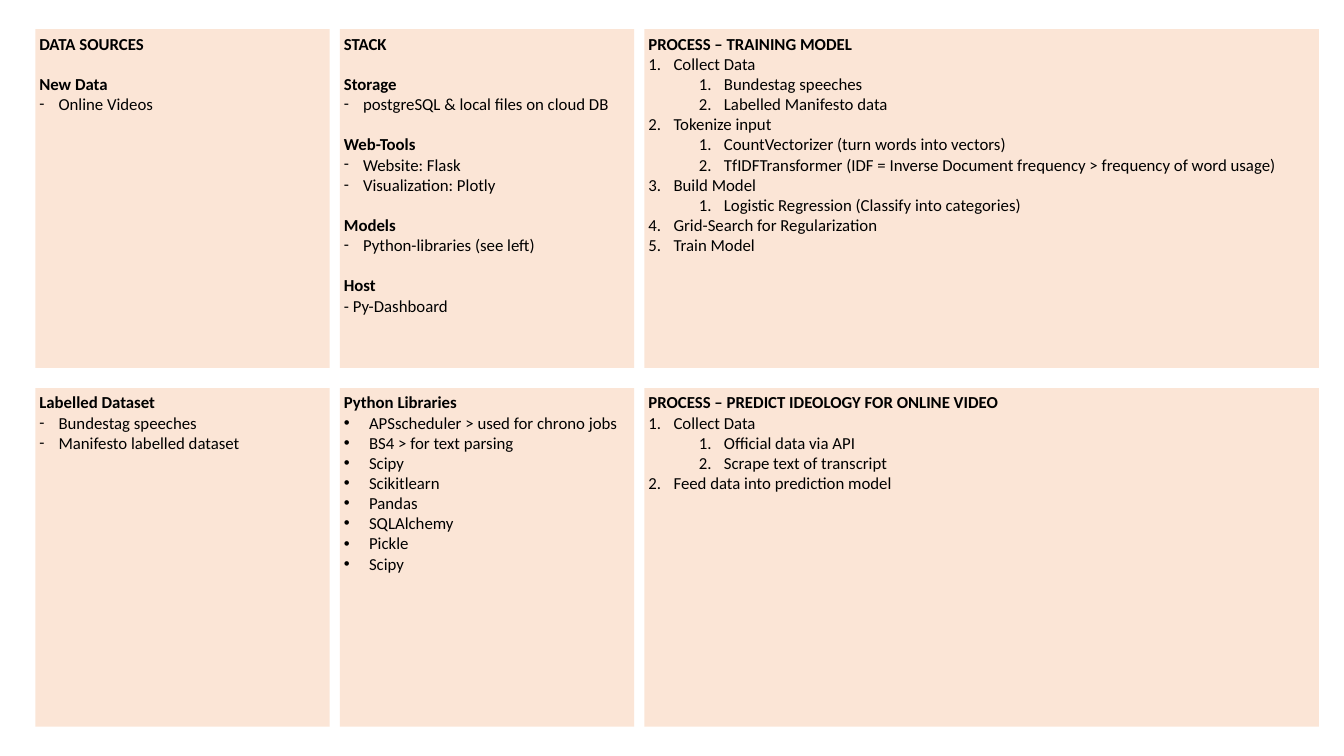
from pptx import Presentation
from pptx import util as u
from pptx.dml.color import RGBColor
from pptx.enum import shapes, text
from pptx.oxml.ns import qn
from lxml import etree

COLOURS = {"panel": "FBE5D6", "ink": "000000"}
FONT = "Calibri"

COLUMNS = [
    (2.92, [
        [("head", "DATA SOURCES"),
         ("section", "New Data"),
         ("dash", "Online Videos")],
        [("head", "Labelled Dataset"),
         ("dash", "Bundestag speeches"),
         ("dash", "Manifesto labelled dataset")],
    ]),
    (2.92, [
        [("head", "STACK"),
         ("section", "Storage"),
         ("dash", "postgreSQL & local files on cloud DB"),
         ("section", "Web-Tools"),
         ("dash", "Website: Flask"),
         ("dash", "Visualization: Plotly"),
         ("section", "Models"),
         ("dash", "Python-libraries (see left)"),
         ("section", "Host"),
         ("plain", "- Py-Dashboard")],
        [("head", "Python Libraries"),
         ("dot", "APSscheduler > used for chrono jobs"),
         ("dot", "BS4 > for text parsing"),
         ("dot", "Scipy"),
         ("dot", "Scikitlearn"),
         ("dot", "Pandas"),
         ("dot", "SQLAlchemy"),
         ("dot", "Pickle"),
         ("dot", "Scipy")],
    ]),
    (6.69, [
        [("head", "PROCESS – TRAINING MODEL"),
         ("step", "Collect Data"),
         ("substep", "Bundestag speeches"),
         ("substep", "Labelled Manifesto data"),
         ("step", "Tokenize input"),
         ("substep", "CountVectorizer (turn words into vectors)"),
         ("substep", "TfIDFTransformer (IDF = Inverse Document frequency > frequency of word usage)"),
         ("step", "Build Model"),
         ("substep", "Logistic Regression (Classify into categories)"),
         ("step", "Grid-Search for Regularization"),
         ("step", "Train Model")],
        [("head", "PROCESS – PREDICT IDEOLOGY FOR ONLINE VIDEO"),
         ("step", "Collect Data"),
         ("substep", "Official data via API"),
         ("substep", "Scrape text of transcript"),
         ("step", "Feed data into prediction model")],
    ]),
]

LEFT, TOP, PANEL_HEIGHT = 0.35, 0.29, 3.36
COLUMN_GAP, ROW_GAP = 0.1, 0.2
INSET, SIZE, SECTION_SPACE = 0.04, 12, 14.4

NUMBER = ("buAutoNum", {"type": "arabicPeriod"})
BULLETS = {
    "dash": (0.19, 0.19, 0, FONT, ("buChar", {"char": "-"})),
    "dot": (0.25, 0.25, 0, "Arial", ("buChar", {"char": "•"})),
    "step": (0.25, 0.25, 0, FONT, NUMBER),
    "substep": (0.75, 0.25, 1, FONT, NUMBER),
}


def add_bullet(paragraph, role):
    margin, hang, level, face, (tag, attributes) = BULLETS[role]
    paragraph.level = level
    properties = paragraph._p.get_or_add_pPr()
    properties.set("marL", str(u.Inches(margin)))
    properties.set("indent", str(-u.Inches(hang)))
    etree.SubElement(properties, qn("a:buFont"), typeface=face)
    etree.SubElement(properties, qn(f"a:{tag}"), attributes)


def write_line(paragraph, role, words):
    if role in BULLETS:
        add_bullet(paragraph, role)
    paragraph.alignment = text.PP_ALIGN.LEFT
    if role == "section":
        paragraph.space_before = u.Pt(SECTION_SPACE)
    run = paragraph.add_run()
    run.text = words
    run.font.name = FONT
    run.font.size = u.Pt(SIZE)
    run.font.bold = role in ("head", "section")
    run.font.color.rgb = RGBColor.from_string(COLOURS["ink"])


def add_panel(slide, left, top, width, lines):
    panel = slide.shapes.add_shape(
        shapes.MSO_SHAPE.RECTANGLE,
        u.Inches(left), u.Inches(top), u.Inches(width), u.Inches(PANEL_HEIGHT))
    panel.shadow.inherit = False
    panel.fill.solid()
    panel.fill.fore_color.rgb = RGBColor.from_string(COLOURS["panel"])
    panel.line.fill.background()
    frame = panel.text_frame
    frame.word_wrap = True
    frame.vertical_anchor = text.MSO_ANCHOR.TOP
    frame.margin_left = frame.margin_right = u.Inches(INSET)
    frame.margin_top = frame.margin_bottom = u.Inches(INSET)
    for index, (role, words) in enumerate(lines):
        paragraph = frame.add_paragraph() if index else frame.paragraphs[0]
        write_line(paragraph, role, words)


def main():
    deck = Presentation()
    deck.slide_width, deck.slide_height = u.Inches(13.33), u.Inches(7.5)
    slide = deck.slides.add_slide(deck.slide_layouts[6])
    left = LEFT
    for width, panels in COLUMNS:
        for row, lines in enumerate(panels):
            add_panel(slide, left, TOP + row * (PANEL_HEIGHT + ROW_GAP), width, lines)
        left += width + COLUMN_GAP
    deck.save("out.pptx")


if __name__ == "__main__":
    main()
